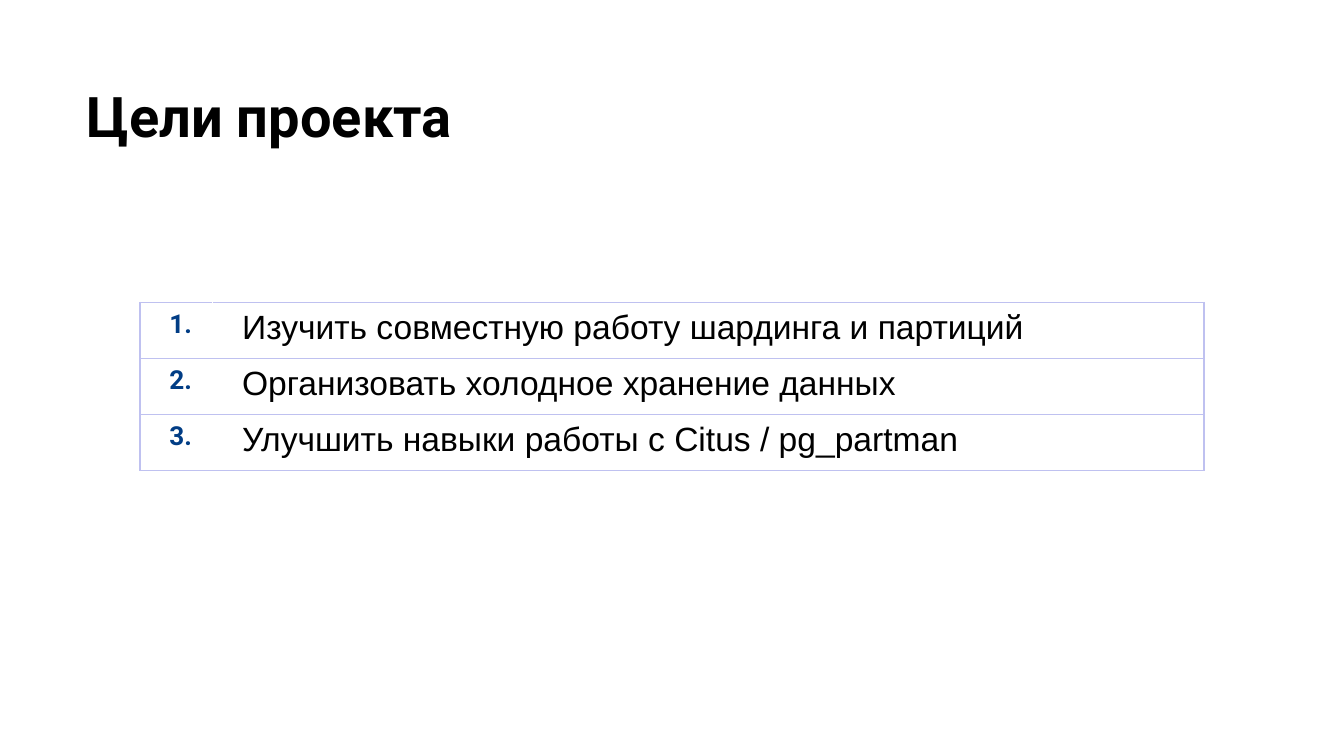
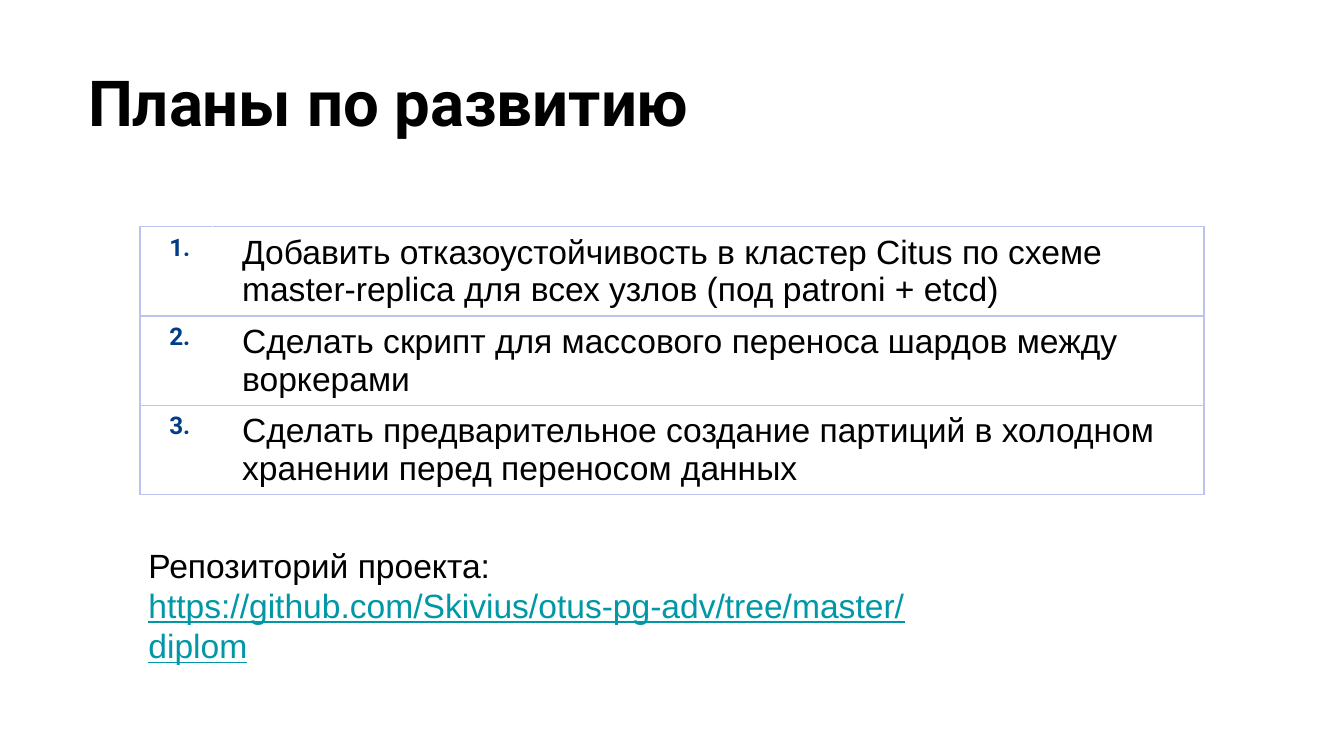
"""Build the project goals and development plans slides."""
from dataclasses import dataclass

from lxml import etree
from pptx import Presentation
from pptx import util as u
from pptx.dml.color import RGBColor
from pptx.enum import text
from pptx.oxml.ns import qn

EMU_PER_PX = 9525
COLORS = {
    "text": "000000",
    "number": "013D85",
    "border": "BFC1F0",
    "divider": "FFFFFF",
    "link": "0097A7",
}
TITLE_FONT, BODY_FONT = "Roboto", "Arial"
BODY_SIZE = 18
TABLE_LEFT = 100
COLUMN_WIDTHS = (52, 708)


@dataclass(frozen=True)
class Box:
    left: int
    top: int
    width: int
    height: int


@dataclass(frozen=True)
class NumberedSlide:
    title: str
    title_box: Box
    title_size: int
    table_top: int
    table_height: int
    row_height: int
    number_size: int
    items: tuple[str, ...]


GOALS = NumberedSlide(
    "Цели проекта", Box(52, 48, 895, 137), 30, 216, 120, 40, 14,
    (
        "Изучить совместную работу шардинга и партиций",
        "Организовать холодное хранение данных",
        "Улучшить навыки работы с Citus / pg_partman",
    ),
)
PLANS = NumberedSlide(
    "Планы по развитию", Box(53, 35, 895, 115), 34, 162, 190, 30, 13,
    (
        "Добавить отказоустойчивость в кластер Citus по схеме "
        "master-replica для всех узлов (под patroni + etcd)",
        "Сделать скрипт для массового переноса шардов между воркерами",
        "Сделать предварительное создание партиций в холодном "
        "хранении перед переносом данных",
    ),
)
REPOSITORY_BOX = Box(96, 384, 629, 63)
REPOSITORY_LABEL = "Репозиторий проекта:"
REPOSITORY_ADDRESS = "https://github.com/Skivius/otus-pg-adv/tree/master/diplom"


def px(length: int) -> u.Emu:
    return u.Emu(length * EMU_PER_PX)


def style(paragraph, font_name: str, size: int, color: str, bold: bool = False) -> None:
    font = paragraph.font
    font.name, font.size, font.bold = font_name, u.Pt(size), bold
    font.color.rgb = RGBColor.from_string(COLORS[color])


def set_margins(holder, left: int, top: int) -> None:
    holder.margin_left, holder.margin_right = px(left), px(10)
    holder.margin_top = holder.margin_bottom = px(top)


def add_title(slide, content: NumberedSlide) -> None:
    title, box = slide.shapes.title, content.title_box
    title.left, title.top = px(box.left), px(box.top)
    title.width, title.height = px(box.width), px(box.height)
    frame = title.text_frame
    frame.text = content.title
    frame.word_wrap = True
    frame.auto_size = text.MSO_AUTO_SIZE.NONE
    frame.vertical_anchor = text.MSO_ANCHOR.TOP
    set_margins(frame, 10, 10)
    paragraph = frame.paragraphs[0]
    paragraph.alignment = text.PP_ALIGN.LEFT
    style(paragraph, TITLE_FONT, content.title_size, "text", bold=True)


def set_borders(cell, left: str, right: str) -> None:
    properties = cell._tc.get_or_add_tcPr()
    sides = {"lnL": left, "lnR": right, "lnT": "border", "lnB": "border"}
    for side, color in sides.items():
        line = etree.SubElement(properties, qn(f"a:{side}"), w=str(u.Pt(0.75)))
        fill = etree.SubElement(line, qn("a:solidFill"))
        etree.SubElement(fill, qn("a:srgbClr"), val=COLORS[color])


def fill_cell(cell, words: str, left: str, right: str):
    set_borders(cell, left, right)
    cell.fill.background()
    set_margins(cell, 21, 5)
    cell.text = words
    return cell.text_frame.paragraphs[0]


def add_numbered_table(slide, content: NumberedSlide) -> None:
    shape = slide.shapes.add_table(
        len(content.items), 2, px(TABLE_LEFT), px(content.table_top),
        px(sum(COLUMN_WIDTHS)), px(content.table_height),
    )
    table = shape.table
    table.first_row = table.horz_banding = False
    for column, width in zip(table.columns, COLUMN_WIDTHS):
        column.width = px(width)
    for index, item in enumerate(content.items):
        table.rows[index].height = px(content.row_height)
        number = fill_cell(table.cell(index, 0), f"{index + 1}.", "border", "divider")
        style(number, TITLE_FONT, content.number_size, "number", bold=True)
        entry = fill_cell(table.cell(index, 1), item, "divider", "border")
        style(entry, BODY_FONT, BODY_SIZE, "text")
    shape.height = px(content.table_height)


def add_numbered_slide(presentation, content: NumberedSlide):
    slide = presentation.slides.add_slide(presentation.slide_layouts[5])
    add_title(slide, content)
    add_numbered_table(slide, content)
    return slide


def add_repository(slide) -> None:
    box = REPOSITORY_BOX
    shape = slide.shapes.add_textbox(
        px(box.left), px(box.top), px(box.width), px(box.height)
    )
    frame = shape.text_frame
    frame.word_wrap = True
    set_margins(frame, 10, 5)
    frame.text = f"{REPOSITORY_LABEL}\n{REPOSITORY_ADDRESS}"
    label, address = frame.paragraphs
    style(label, BODY_FONT, BODY_SIZE, "text")
    style(address, BODY_FONT, BODY_SIZE, "link")
    address.font.underline = True


def main() -> None:
    presentation = Presentation()
    presentation.slide_width, presentation.slide_height = px(960), px(540)
    add_numbered_slide(presentation, GOALS)
    add_repository(add_numbered_slide(presentation, PLANS))
    presentation.save("out.pptx")


if __name__ == "__main__":
    main()
